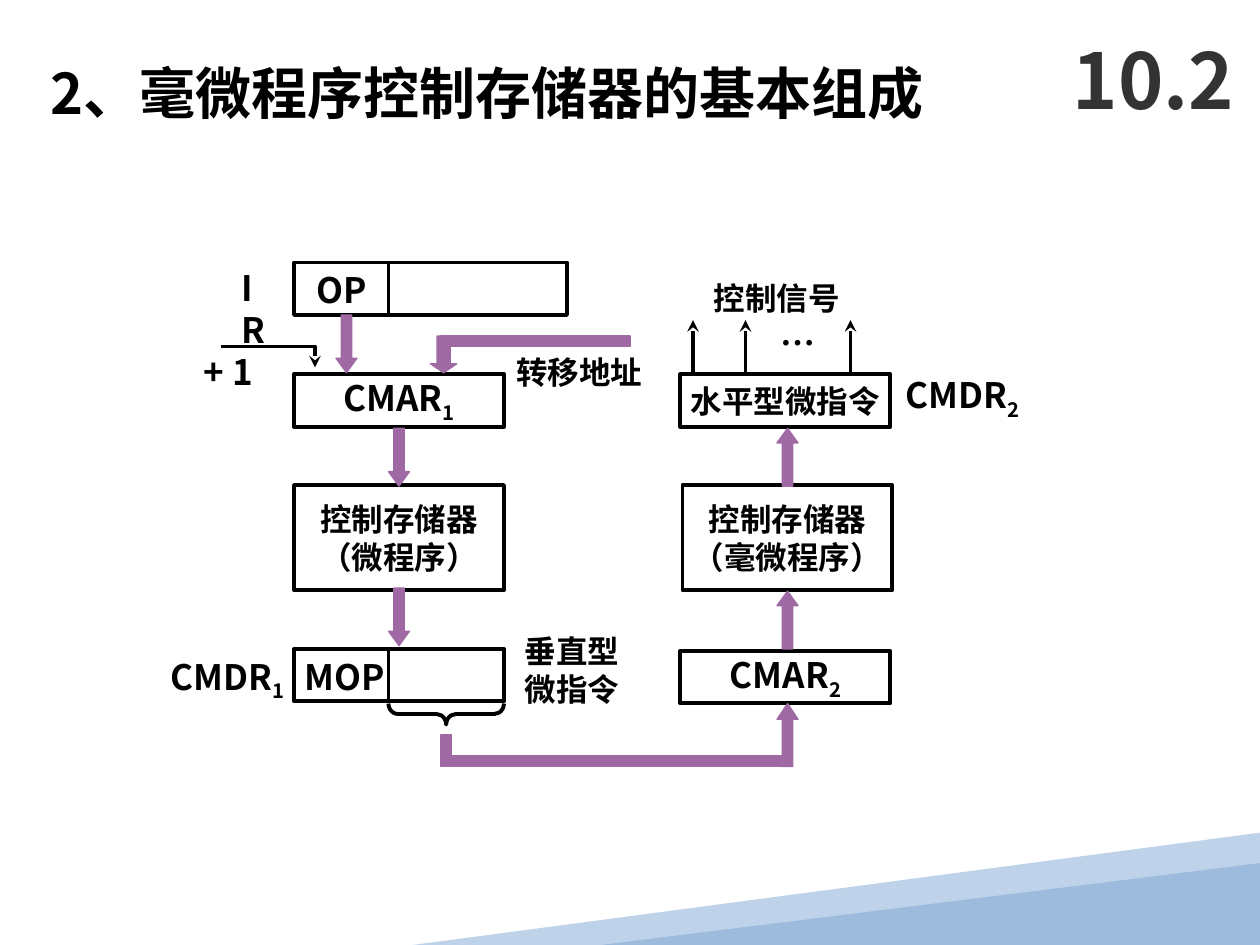
from dataclasses import dataclass
from lxml.etree import SubElement as Sub
from pptx import Presentation
from pptx.dml.color import RGBColor
from pptx.enum.shapes import MSO_CONNECTOR as Link, MSO_SHAPE as Kind
from pptx.enum.text import MSO_ANCHOR as Anchor, PP_ALIGN as Align
from pptx.oxml.ns import qn
from pptx.util import Inches, Pt

FONT = "Noto Sans CJK SC"
COLS, ROWS = 120, 90
HUES = {"ink": "000000", "gray": "333333", "flow": "9F69A3", "pale": "BED2E9", "blue": "9DBCDD"}


@dataclass
class Area:
    """Place on the grid, in columns and rows."""
    col: float
    row: float
    wide: float
    high: float

    def emu(self) -> list[int]:
        """Give left, top, width and height as lengths."""
        return [cell(v) for v in (self.col, self.row, self.wide, self.high)]


@dataclass
class Label:
    """Free text with an optional subscript."""
    area: Area
    text: str
    size: float = 20
    sub: str = ""
    hue: str = "ink"
    wrap: bool = False


@dataclass
class Box:
    """Outlined box with optional centred text."""
    area: Area
    text: str = ""
    size: float = 20
    sub: str = ""


@dataclass
class Arrow:
    """Thick block arrow, pointing down unless turned."""
    area: Area
    head: float = 0.69
    turn: int = 0


def cell(count: float) -> int:
    """Turn grid cells into a length."""
    return Inches(count * 10 / COLS)


def tint(name: str) -> RGBColor:
    """Look up a colour."""
    return RGBColor.from_string(HUES[name])


def write(frame, text: str, size: float, sub: str = "", hue: str = "ink") -> None:
    """Fill a text frame and format its runs."""
    frame.text = text
    if sub:
        low = frame.paragraphs[0].add_run()
        low.text = sub
        low.font._element.set("baseline", "-25000")
    for run in (r for p in frame.paragraphs for r in p.runs):
        font = run.font
        font.size, font.bold, font.name = Pt(size), True, FONT
        font.color.rgb = tint(hue)
        Sub(font._element, qn("a:ea")).set("typeface", FONT)


def paint(shape, fill: str = "", line: str = "", width: float = 2.25) -> None:
    """Set fill and outline, and drop the shadow."""
    shape.shadow.inherit = False
    if fill:
        shape.fill.solid()
        shape.fill.fore_color.rgb = tint(fill)
    else:
        shape.fill.background()
    if line:
        shape.line.color.rgb = tint(line)
        shape.line.width = Pt(width)
    else:
        shape.line.fill.background()


def point(shape) -> None:
    """Put an arrowhead at the end of a line."""
    Sub(shape.line._get_or_add_ln(), qn("a:tailEnd")).set("type", "stealth")


def label(shapes, item: Label):
    """Draw free text."""
    frame = shapes.add_textbox(*item.area.emu()).text_frame
    frame.word_wrap = item.wrap
    write(frame, item.text, item.size, item.sub, item.hue)
    return frame


def box(shapes, item: Box) -> None:
    """Draw an outlined box."""
    shape = shapes.add_shape(Kind.RECTANGLE, *item.area.emu())
    paint(shape, line="ink")
    if item.text:
        frame = shape.text_frame
        frame.word_wrap = False
        frame.vertical_anchor = Anchor.MIDDLE
        write(frame, item.text, item.size, item.sub)
        for para in frame.paragraphs:
            para.alignment = Align.CENTER


def arrow(shapes, item: Arrow) -> None:
    """Draw a block arrow."""
    shape = shapes.add_shape(Kind.DOWN_ARROW, *item.area.emu())
    shape.adjustments[0], shape.adjustments[1] = 0.5, item.head
    shape.rotation = item.turn
    paint(shape, "flow", "flow", 0.75)


def bar(shapes, area: Area) -> None:
    """Draw a straight piece of a thick path."""
    paint(shapes.add_shape(Kind.RECTANGLE, *area.emu()), "flow", "flow", 0.75)


def rule(shapes, col: float, top: float, end: float, head: bool = False) -> None:
    """Draw an upright line."""
    line = shapes.add_connector(Link.STRAIGHT, *map(cell, (col, top, col, end)))
    line.line.color.rgb = tint("ink")
    line.line.width = Pt(2.25)
    if head:
        point(line)
    Sub(line._element.spPr, qn("a:effectLst"))


def trace(shapes, dots: list[tuple[float, float]], close: bool):
    """Draw an outline through grid points."""
    dots = [(cell(x), cell(y)) for x, y in dots]
    form = shapes.build_freeform(*dots[0])
    form.add_line_segments(dots[1:], close=close)
    return form.convert_to_shape()


LEFT, RIGHT, WIDE, LOW = 28, 64.8, 20, 5
BOXES = [
    Box(Area(LEFT, 25, 26, LOW)),
    Box(Area(LEFT, 35.64, WIDE, LOW), "CMAR", sub="1"),
    Box(Area(LEFT, 46.2, WIDE, 10), "控制存储器\n（微程序）", 18),
    Box(Area(LEFT, 61.8, WIDE, LOW)),
    Box(Area(RIGHT, 35.64, WIDE, LOW), "水平型微指令", 18),
    Box(Area(65, 46.2, WIDE, 10), "控制存储器\n（毫微程序）", 18),
    Box(Area(RIGHT, 62, WIDE, LOW), "CMAR", sub="2"),
]
LABELS = [
    Label(Area(3.6, 5, 96.4, 7.7), "2、毫微程序控制存储器的基本组成", 32, wrap=True),
    Label(Area(29, 25, 7.2, 5.3), "OP"),
    Label(Area(27.8, 61.8, 10.3, 5.3), "MOP"),
    Label(Area(48, 33, 14.4, 4.8), "转移地址", 18),
    Label(Area(48.8, 59.6, 11.4, 8.5), "垂直型\n微指令", 18),
    Label(Area(21.8, 24.8, 5.5, 5.3), "IR", wrap=True),
    Label(Area(18.2, 32.8, 7.7, 5.3), "+ 1"),
    Label(Area(15.1, 61.8, 13.9, 5.3), "CMDR", sub="1"),
    Label(Area(85.1, 35, 13.9, 5.3), "CMDR", sub="2"),
    Label(Area(73.2, 30, 5.8, 5.3), "…"),
    Label(Area(66.8, 26, 14.4, 4.8), "控制信号", 18),
]
ARROWS = [
    Arrow(Area(32, 30, 2, 5.5)),
    *(Arrow(Area(37, row, 2, 5.5)) for row in (40.8, 56)),
    Arrow(Area(41, 32, 2.5, 3.5), 0.34),
    *(Arrow(Area(74, row, 2, 5.5), turn=180) for row in (40.8, 56.3)),
    Arrow(Area(74, 67, 2, 6), 0.75, 180),
]
BARS = [Area(42, 70, 1, 3), Area(42, 72, 33, 1), Area(42, 32, 18, 1)]


def main() -> None:
    """Build the slide and save it."""
    deck = Presentation()
    deck.slide_width, deck.slide_height = cell(COLS), cell(ROWS)
    shapes = deck.slides.add_slide(deck.slide_layouts[6]).shapes
    paint(trace(shapes, [(COLS, 79.3), (COLS, 89.3), (80.8, ROWS), (39.3, ROWS)], True), "pale")
    wedge = shapes.add_shape(Kind.ISOSCELES_TRIANGLE, *Area(57.2, 82.2, 62.8, 7.8).emu())
    wedge.adjustments[0] = 1
    paint(wedge, "blue")
    brace = shapes.add_shape(Kind.LEFT_BRACE, *Area(41.5, 62.5, 2, 11).emu())
    brace.adjustments[0], brace.rotation = 0.46, 270
    paint(brace, line="ink")
    for area in BARS:
        bar(shapes, area)
    for item in BOXES:
        box(shapes, item)
    for item in ARROWS:
        arrow(shapes, item)
    for top in (25, 61.8):
        rule(shapes, 37, top, top + LOW)
    for col in (66, 71, 81):
        rule(shapes, col, 35.5, 30.5, True)
    step = trace(shapes, [(21, 33), (30, 33), (30, 35)], False)
    paint(step, line="ink")
    point(step)
    for item in LABELS:
        label(shapes, item)
    mark = label(shapes, Label(Area(101, 2, 19, 11), "10.2", 44, hue="gray", wrap=True))
    mark.vertical_anchor = Anchor.MIDDLE
    deck.save("out.pptx")


if __name__ == "__main__":
    main()
